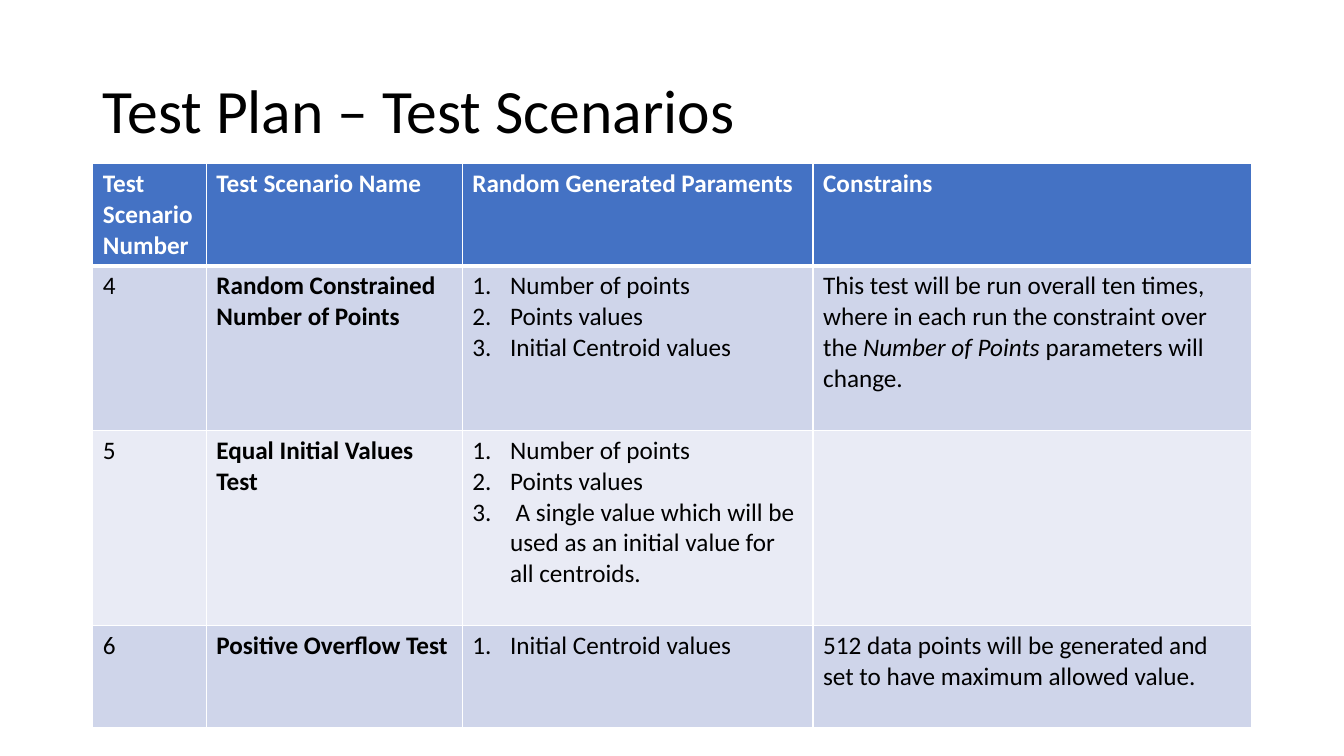
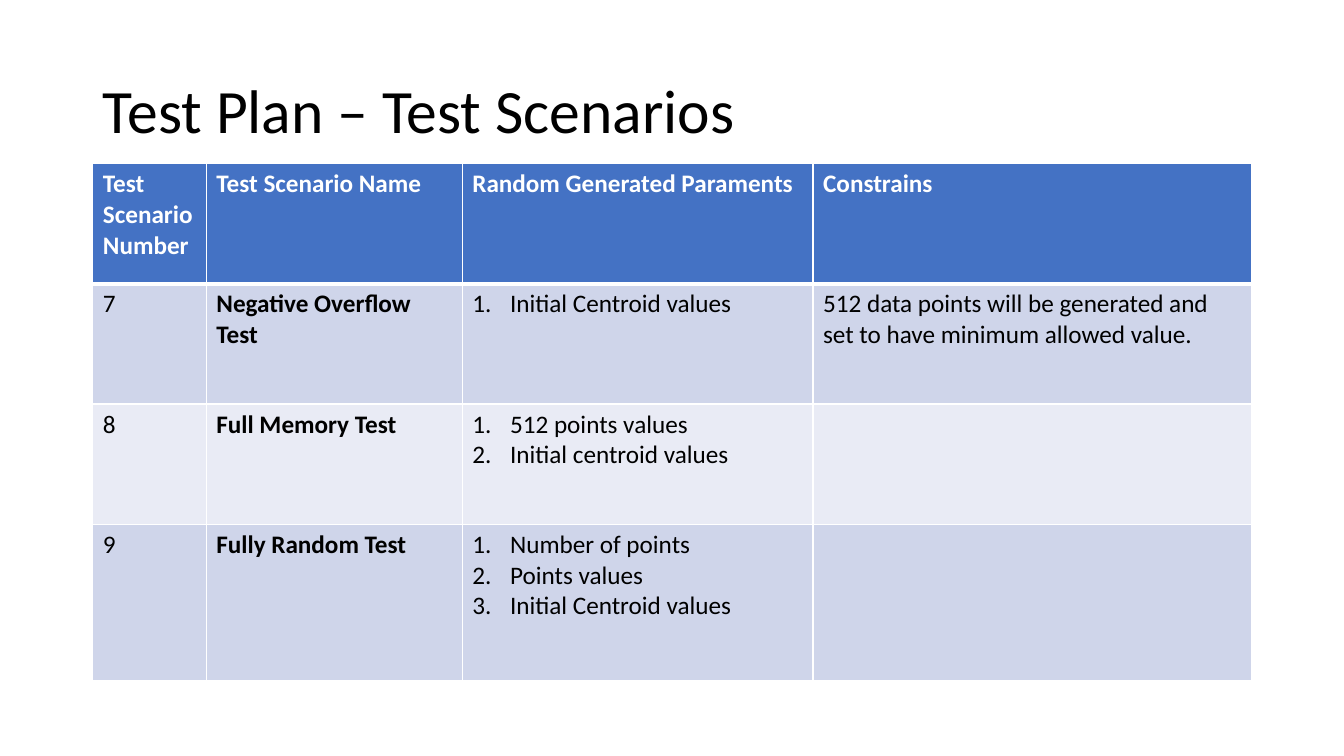
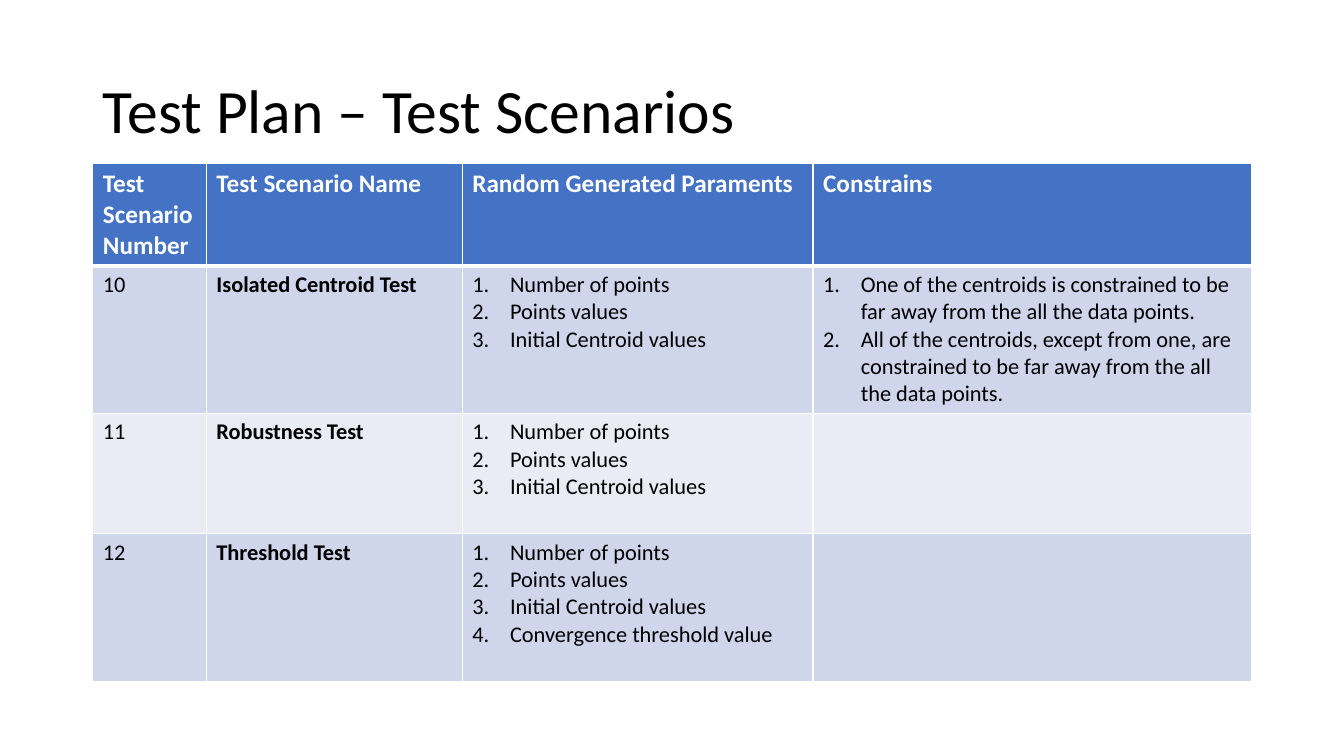
import pptx
import pptx.dml.color
import pptx.enum.text
import pptx.oxml
import pptx.oxml.ns
import pptx.util

Cm = pptx.util.Cm
Pt = pptx.util.Pt
RGBColor = pptx.dml.color.RGBColor

TITLE = "Test Plan – Test Scenarios"
HEADERS = ["Test Scenario Number", "Test Scenario Name",
           "Random Generated Paraments", "Constrains"]
POINTS = ["Number of points", "Points values"]
CENTROIDS = "Initial Centroid values"

# Cell content: a string is plain text, a list is numbered,
# a tuple holds runs of which every second one is italic.
SLIDES = [
    {"size": 18, "heights": [2.56, 4.15, 4.92, 2.57], "rows": [
        ["4", "Random Constrained Number of Points", POINTS + [CENTROIDS],
         ("This test will be run overall ten times, where in each run the "
          "constraint over the ", "Number of Points",
          " parameters will change.")],
        ["5", "Equal Initial Values Test",
         POINTS + [" A single value which will be used as an initial value "
                   "for all centroids."], ""],
        ["6", "Positive Overflow Test", [CENTROIDS],
         "512 data points will be generated and set to have maximum "
         "allowed value."],
    ]},
    {"size": 18, "heights": [3.03, 3.03, 3.03, 3.95], "rows": [
        ["7", "Negative Overflow Test", [CENTROIDS],
         "512 data points will be generated and set to have minimum "
         "allowed value."],
        ["8", "Full Memory Test",
         ["512 points values", "Initial centroid values"], ""],
        ["9", "Fully Random Test", POINTS + [CENTROIDS], ""],
    ]},
    {"size": 16, "heights": [2.58, 3.72, 3.03, 3.72], "rows": [
        ["10", "Isolated Centroid Test", POINTS + [CENTROIDS],
         ["One of the centroids is constrained to be far away from the all "
          "the data points.",
          "All of the centroids, except from one, are constrained to be far "
          "away from the all the data points."]],
        ["11", "Robustness Test", POINTS + [CENTROIDS], ""],
        ["12", "Threshold Test",
         POINTS + [CENTROIDS, "Convergence threshold value"], ""],
    ]},
]

FONT = "Calibri"
BLACK = RGBColor(0x00, 0x00, 0x00)
WHITE = RGBColor(0xFF, 0xFF, 0xFF)
HEADER_BLUE = RGBColor(0x44, 0x72, 0xC4)
BANDS = [RGBColor(0xCF, 0xD5, 0xEA), RGBColor(0xE9, 0xEB, 0xF5)]

LEFT = Cm(2.34)
CONTENT_WIDTH = Cm(29.21)
TITLE_TOP, TITLE_HEIGHT = Cm(1.01), Cm(3.68)
TABLE_TOP = Cm(4.12)
COLUMN_WIDTHS = [2.86, 6.45, 8.84, 11.06]
HEADER_SIZE = 18
NAME_COLUMN = 1
NUMBER_INDENT = Cm(0.95)


def style_run(run, size, color, bold=False, italic=False):
    """Apply the shared font and the given look to a run."""
    run.font.name = FONT
    run.font.size = Pt(size)
    run.font.color.rgb = color
    run.font.bold = bold
    run.font.italic = italic


def number_paragraph(paragraph):
    """Give a paragraph an automatic number and a hanging indent."""
    properties = paragraph._p.get_or_add_pPr()
    properties.set("marL", str(NUMBER_INDENT))
    properties.set("indent", str(-NUMBER_INDENT))
    properties.append(pptx.oxml.parse_xml(
        f'<a:buAutoNum {pptx.oxml.ns.nsdecls("a")} type="arabicPeriod"/>'))


def add_borders(cell, row_index):
    """Draw white cell borders, thicker between header and body."""
    top = 3 if row_index == 1 else 1
    bottom = 3 if row_index == 0 else 1
    properties = cell._tc.get_or_add_tcPr()
    for side, width in (("L", 1), ("R", 1), ("T", top), ("B", bottom)):
        properties.append(pptx.oxml.parse_xml(
            f'<a:ln{side} {pptx.oxml.ns.nsdecls("a")} w="{Pt(width)}">'
            f'<a:solidFill><a:srgbClr val="{WHITE}"/></a:solidFill>'
            f'</a:ln{side}>'))


def fill_cell(cell, content, size, color, bold):
    """Write plain, numbered or partly italic content into a cell."""
    frame = cell.text_frame
    lines = content if isinstance(content, list) else [content]
    for index, line in enumerate(lines):
        paragraph = frame.paragraphs[0] if index == 0 else frame.add_paragraph()
        if isinstance(content, list):
            number_paragraph(paragraph)
        pieces = line if isinstance(line, tuple) else (line,)
        for position, piece in enumerate(pieces):
            if piece:
                run = paragraph.add_run()
                run.text = piece
                style_run(run, size, color, bold, italic=position % 2 == 1)


def add_title(slide):
    """Place and format the slide title."""
    title = slide.shapes.title
    title.left, title.top = LEFT, TITLE_TOP
    title.width, title.height = CONTENT_WIDTH, TITLE_HEIGHT
    frame = title.text_frame
    frame.text = TITLE
    frame.vertical_anchor = pptx.enum.text.MSO_ANCHOR.MIDDLE
    paragraph = frame.paragraphs[0]
    paragraph.alignment = pptx.enum.text.PP_ALIGN.LEFT
    paragraph.line_spacing = 0.9
    style_run(paragraph.runs[0], 44, BLACK)


def add_scenario_table(slide, content):
    """Add the table of test scenarios below the title."""
    rows = [HEADERS] + content["rows"]
    table = slide.shapes.add_table(
        len(rows), len(HEADERS), LEFT, TABLE_TOP, CONTENT_WIDTH,
        Cm(sum(content["heights"]))).table
    for column, width in zip(table.columns, COLUMN_WIDTHS):
        column.width = Cm(width)
    for row_index, row in enumerate(rows):
        table.rows[row_index].height = Cm(content["heights"][row_index])
        is_header = row_index == 0
        background = HEADER_BLUE if is_header else BANDS[(row_index - 1) % 2]
        for column_index, text in enumerate(row):
            cell = table.cell(row_index, column_index)
            add_borders(cell, row_index)
            cell.fill.solid()
            cell.fill.fore_color.rgb = background
            fill_cell(cell, text,
                      HEADER_SIZE if is_header else content["size"],
                      WHITE if is_header else BLACK,
                      is_header or column_index == NAME_COLUMN)


def main():
    """Build the presentation."""
    presentation = pptx.Presentation()
    presentation.slide_width = Cm(33.87)
    presentation.slide_height = Cm(19.05)
    title_only = presentation.slide_layouts.get_by_name("Title Only")
    for content in SLIDES:
        slide = presentation.slides.add_slide(title_only)
        add_title(slide)
        add_scenario_table(slide, content)
    presentation.save("out.pptx")


main()
